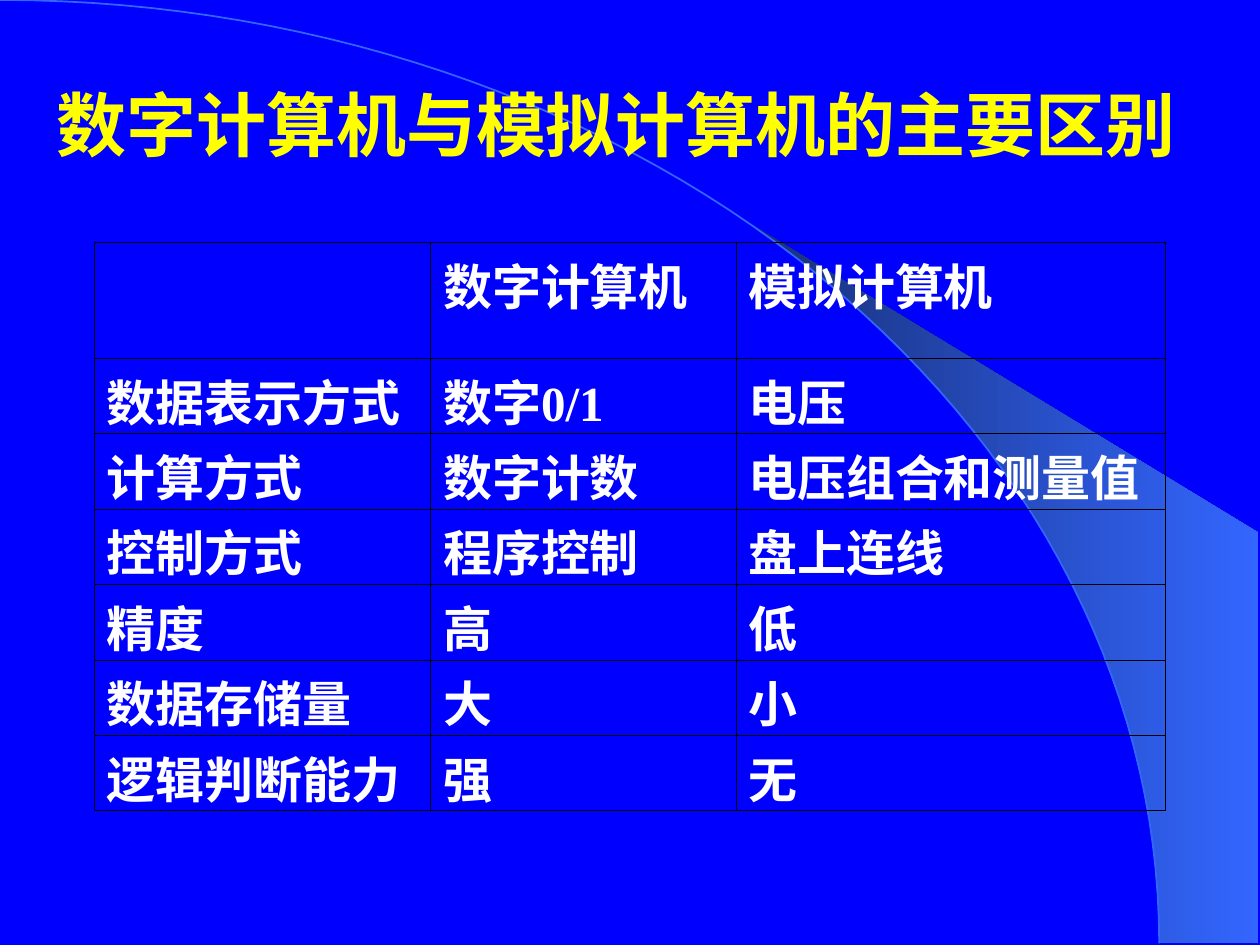
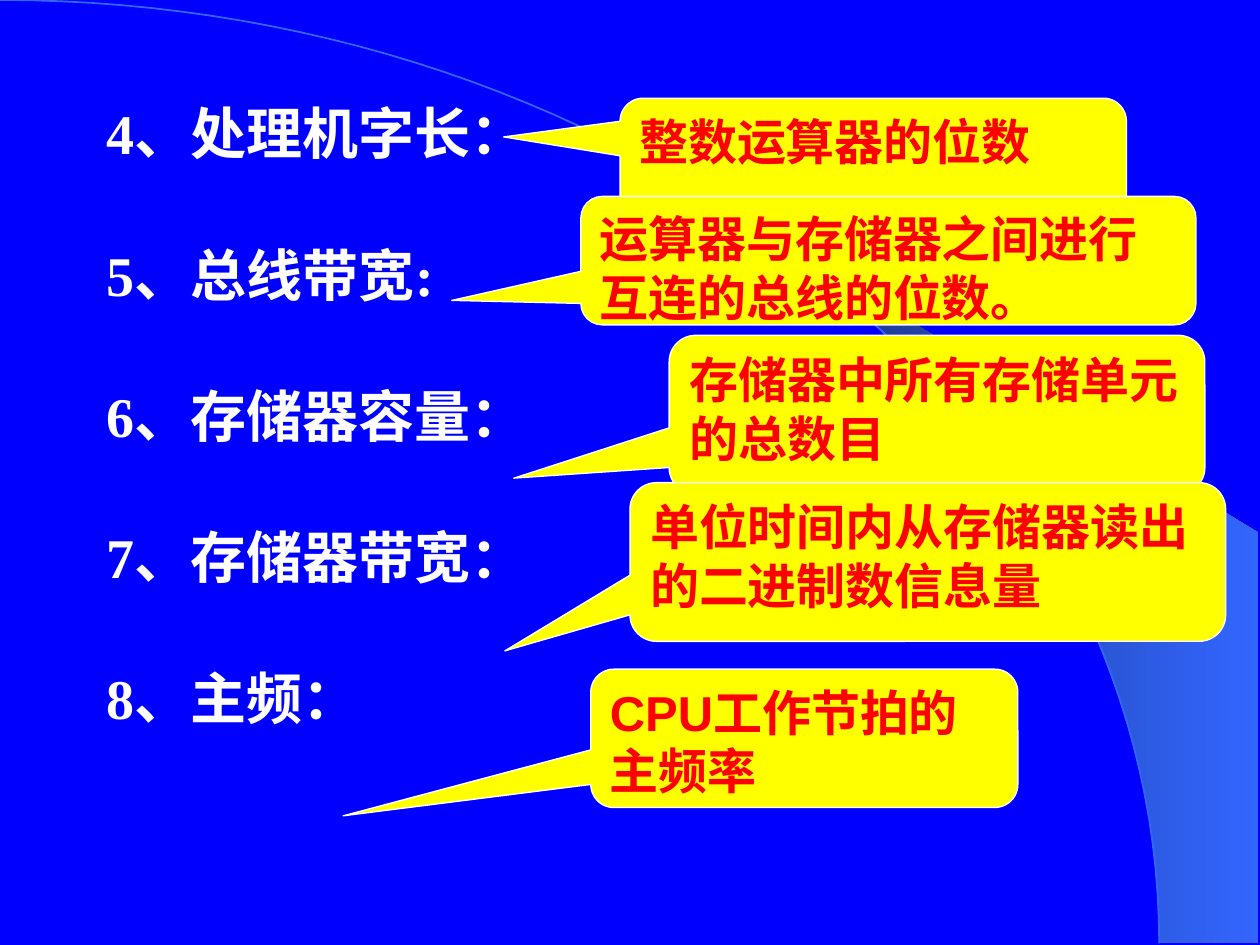
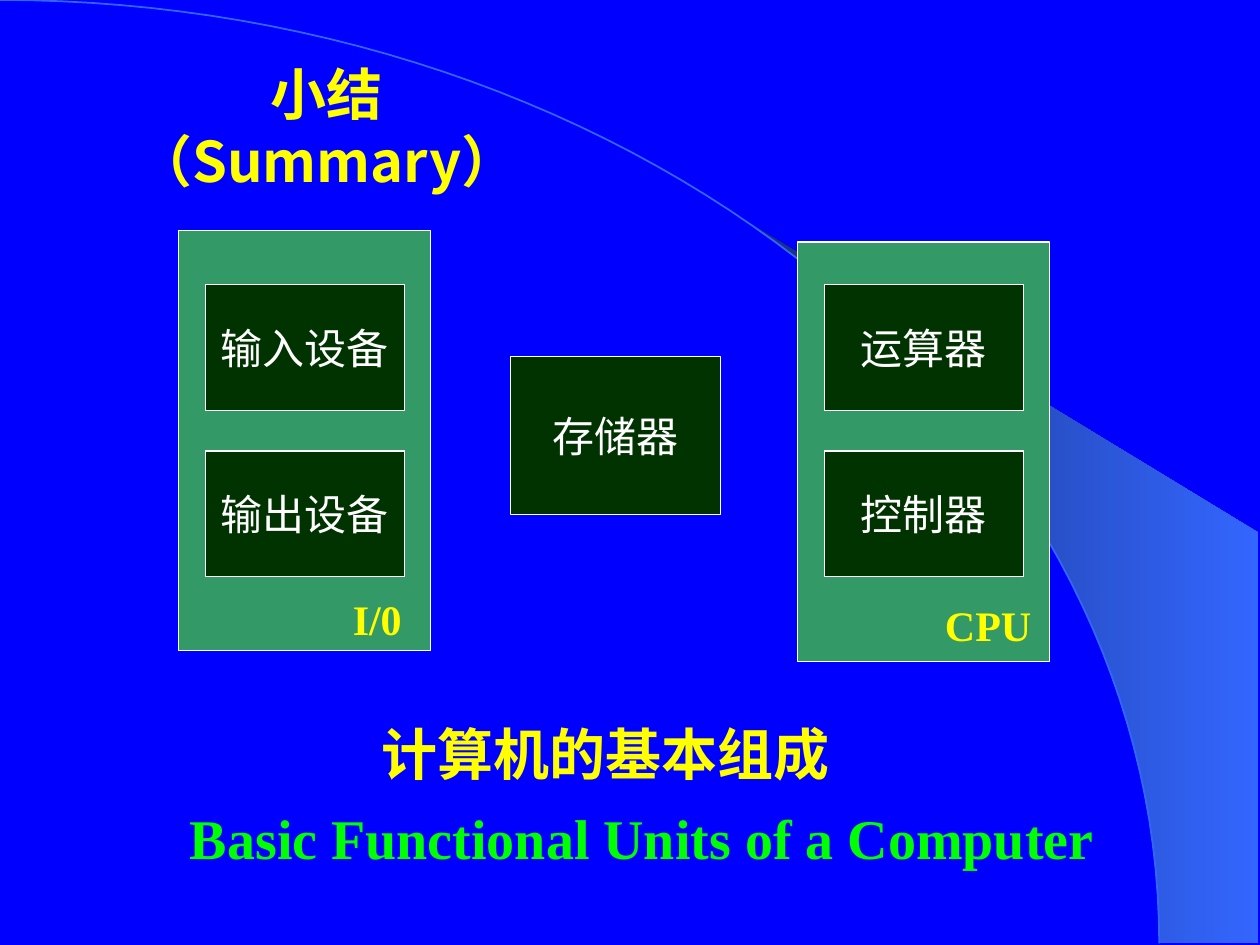
from math import asin, cos, pi, sin

from lxml import etree
from pptx import Presentation
from pptx.dml.color import RGBColor
from pptx.enum.shapes import MSO_SHAPE
from pptx.enum.text import MSO_ANCHOR, MSO_AUTO_SIZE, PP_ALIGN
from pptx.oxml.ns import qn
from pptx.util import Cm, Pt

RECTANGLE = MSO_SHAPE.RECTANGLE
CALLOUT = MSO_SHAPE.ROUNDED_RECTANGULAR_CALLOUT
TOP, MIDDLE, BOTTOM = MSO_ANCHOR.TOP, MSO_ANCHOR.MIDDLE, MSO_ANCHOR.BOTTOM
LEFT, CENTER, RIGHT = PP_ALIGN.LEFT, PP_ALIGN.CENTER, PP_ALIGN.RIGHT
FIT_SHAPE = MSO_AUTO_SIZE.SHAPE_TO_FIT_TEXT

# Shared colours and fonts
BLUE, SKY, NAVY = "0000FF", "3366FF", "182F76"
YELLOW, WHITE, RED, LIME = "FFFF00", "FFFFFF", "FF0000", "00FF00"
GREEN, DARK_GREEN, BLACK = "339966", "003300", "000000"
CJK, SERIF, SANS = "Noto Sans CJK SC", "Times New Roman", "Arial"

# Shared text formats
TITLE = {"name": CJK, "size": Pt(40), "bold": True, "color": YELLOW}
HEADING = {**TITLE, "size": Pt(32)}
CAPTION = {**HEADING, "name": SERIF}
ENGLISH = {**CAPTION, "color": LIME}
BODY = {**CAPTION, "color": WHITE}
CELL = {"name": CJK, "size": Pt(28), "bold": True, "color": WHITE}
CELL_DIGITS = {**CELL, "name": SERIF}
NOTE = {"name": SANS, "size": Pt(28), "bold": True, "color": RED}
UNIT = {"name": SERIF, "size": Pt(24), "bold": False, "color": WHITE}
GROUP = {**UNIT, "bold": True, "color": YELLOW}

# Background arc, in cm: a quarter of an ellipse
ARC_WIDTH, ARC_HEIGHT = 23.37, 19.02
GLOW_RIGHT, GLOW_LEFT, GLOW_SHOULDER = 25.37, 14.96, 10.74


def rgb(value):
    return RGBColor.from_string(value)


def write(para, text, style):
    span = para.add_run()
    span.text = text
    for key, value in style.items():
        if key == "color":
            span.font.color.rgb = rgb(value)
        else:
            setattr(span.font, key, value)
    east_asian = etree.SubElement(span._r.get_or_add_rPr(), qn("a:ea"))
    east_asian.set("typeface", CJK)


def fill_text(shape, text, style, align=LEFT, anchor=TOP, wrap=True):
    frame = shape.text_frame
    frame.word_wrap = wrap
    frame.vertical_anchor = anchor
    frame.paragraphs[0].alignment = align
    write(frame.paragraphs[0], text, style)
    return frame


def add_text(page, place, text, style, **layout):
    box = page.shapes.add_textbox(*map(Cm, place))
    return fill_text(box, text, style, **layout)


def add_label(page, place, text, style):
    add_text(page, place, text, style, wrap=False).auto_size = FIT_SHAPE


def add_block(page, kind, place, color):
    shape = page.shapes.add_shape(kind, *map(Cm, place))
    shape.shadow.inherit = False
    shape.fill.solid()
    shape.fill.fore_color.rgb = rgb(color)
    shape.line.color.rgb = rgb(WHITE)
    shape.line.width = Pt(0.75)
    return shape


def add_unit(page, place, text):
    fill_text(add_block(page, RECTANGLE, place, DARK_GREEN), text, UNIT,
              align=CENTER, anchor=MIDDLE, wrap=False)


def add_callout(page, place, tip, text):
    shape = add_block(page, CALLOUT, place, YELLOW)
    for index, value in enumerate(tip):
        shape.adjustments[index] = value
    fill_text(shape, text, NOTE)


def arc_points(start, steps):
    angles = [start + (pi / 2 - start) * step / steps for step in range(steps + 1)]
    return [(ARC_WIDTH * sin(a), ARC_HEIGHT * (1 - cos(a))) for a in angles]


def add_outline(page, points, close):
    points = [(Cm(x), Cm(y)) for x, y in points]
    builder = page.shapes.build_freeform(*points[0])
    builder.add_line_segments(points[1:], close=close)
    shape = builder.convert_to_shape()
    shape.shadow.inherit = False
    return shape


def add_page(deck):
    page = deck.slides.add_slide(deck.slide_layouts[6])
    # Glow between the arc and the right edge
    corners = [(GLOW_RIGHT, ARC_HEIGHT), (GLOW_RIGHT, GLOW_SHOULDER)]
    curve = arc_points(asin(GLOW_LEFT / ARC_WIDTH), 20)
    glow = add_outline(page, corners + curve, True)
    glow.line.fill.background()
    glow.fill.gradient()
    glow.fill.gradient_angle = 0
    for stop, color, position in zip(glow.fill.gradient_stops, (NAVY, SKY), (0, 1)):
        stop.color.rgb = rgb(color)
        stop.position = position
    # Thin arc
    arc = add_outline(page, arc_points(0, 60), False)
    arc.fill.background()
    arc.line.color.rgb = rgb(SKY)
    arc.line.width = Pt(1)
    return page


def set_borders(cell):
    properties = cell._tc.get_or_add_tcPr()
    for side in ("lnL", "lnR", "lnT", "lnB"):
        line = etree.SubElement(properties, qn(f"a:{side}"), w=str(Pt(0.06)))
        fill = etree.SubElement(line, qn("a:solidFill"))
        etree.SubElement(fill, qn("a:srgbClr"), val=BLACK)


def add_grid(page, left, top, widths, heights, rows):
    frame = page.shapes.add_table(len(rows), len(widths), Cm(left), Cm(top),
                                  Cm(sum(widths)), Cm(sum(heights)))
    table = frame.table
    table.first_row = table.horz_banding = False
    for column, width in zip(table.columns, widths):
        column.width = Cm(width)
    for row, height, texts in zip(table.rows, heights, rows):
        row.height = Cm(height)
        for cell, text in zip(row.cells, texts):
            set_borders(cell)
            cell.fill.background()
            word = text.rstrip("0/1")
            digits = text[len(word):]
            for part, style in ((word, CELL), (digits, CELL_DIGITS)):
                if part:
                    write(cell.text_frame.paragraphs[0], part, style)


def build_comparison(deck):
    page = add_page(deck)
    add_text(page, (0.89, 0.91, 24, 3.18), "数字计算机与模拟计算机的主要区别", TITLE,
             anchor=MIDDLE)
    rows = [
        ("", "数字计算机", "模拟计算机"),
        ("数据表示方式", "数字0/1", "电压"),
        ("计算方式", "数字计数", "电压组合和测量值"),
        ("控制方式", "程序控制", "盘上连线"),
        ("精度", "高", "低"),
        ("数据存储量", "大", "小"),
        ("逻辑判断能力", "强", "无"),
    ]
    add_grid(page, 1.9, 4.88, (6.78, 6.15, 8.66), [2.34] + [1.52] * 6, rows)


def build_terms(deck):
    page = add_page(deck)
    terms = ["4、处理机字长：", "5、总线带宽:", "6、存储器容量：", "7、存储器带宽：", "8、主频："]
    frame = add_text(page, (1.9, 2.13, 21.59, 14.17), terms[0], BODY)
    for term in terms[1:]:
        para = frame.add_paragraph()
        para.space_before = Pt(50)
        write(para, term, BODY)
    for para in frame.paragraphs:
        para.line_spacing = 0.8
    # Explanations
    callouts = [
        ((12.5, 1.98, 10.21, 2.79), (-0.73, -0.22), "整数运算器的位数"),
        ((11.71, 3.96, 12.4, 2.59), (-0.71, 0.31),
         "运算器与存储器之间进行互连的总线的位数。"),
        ((13.49, 6.76, 10.8, 3.2), (-0.79, 0.4), "存储器中所有存储单元的总数目"),
        ((12.7, 9.73, 12.01, 3.2), (-0.71, 0.56),
         "单位时间内从存储器读出的二进制数信息量"),
        ((11.91, 13.49, 8.61, 2.79), (-1.08, 0.56), "CPU工作节拍的主频率"),
    ]
    for place, tip, text in callouts:
        add_callout(page, place, tip, text)


def build_summary(deck):
    page = add_page(deck)
    add_text(page, (1.42, 1.07, 10.34, 1.63), "小结（Summary）", HEADING, align=CENTER)
    # Groups and their units
    io_panel = add_block(page, RECTANGLE, (3.6, 4.65, 5.08, 8.46), GREEN)
    label = fill_text(io_panel, "I/0", GROUP, align=RIGHT, anchor=BOTTOM, wrap=True)
    label.margin_right = Cm(0.58)
    add_block(page, RECTANGLE, (16.08, 4.88, 5.08, 8.46), GREEN)
    columns = {4.14: ("输入设备", "输出设备"), 16.62: ("运算器", "控制器")}
    for left, names in columns.items():
        for top, name in zip((5.74, 9.09), names):
            add_unit(page, (left, top, 4.01, 2.54), name)
    add_unit(page, (10.29, 7.19, 4.24, 3.18), "存储器")
    # Labels
    add_label(page, (18.8, 11.96, 2.24, 1.27), "CPU", GROUP)
    add_label(page, (3.58, 16.08, 18.75, 1.63),
              "Basic Functional Units of a Computer", ENGLISH)
    add_label(page, (7.44, 14.38, 9.55, 1.63), "计算机的基本组成", CAPTION)


def main():
    deck = Presentation()
    deck.slide_width, deck.slide_height = Cm(25.4), Cm(19.05)
    background = deck.slide_master.background.fill
    background.solid()
    background.fore_color.rgb = rgb(BLUE)
    build_comparison(deck)
    build_terms(deck)
    build_summary(deck)
    deck.save("out.pptx")


if __name__ == "__main__":
    main()
